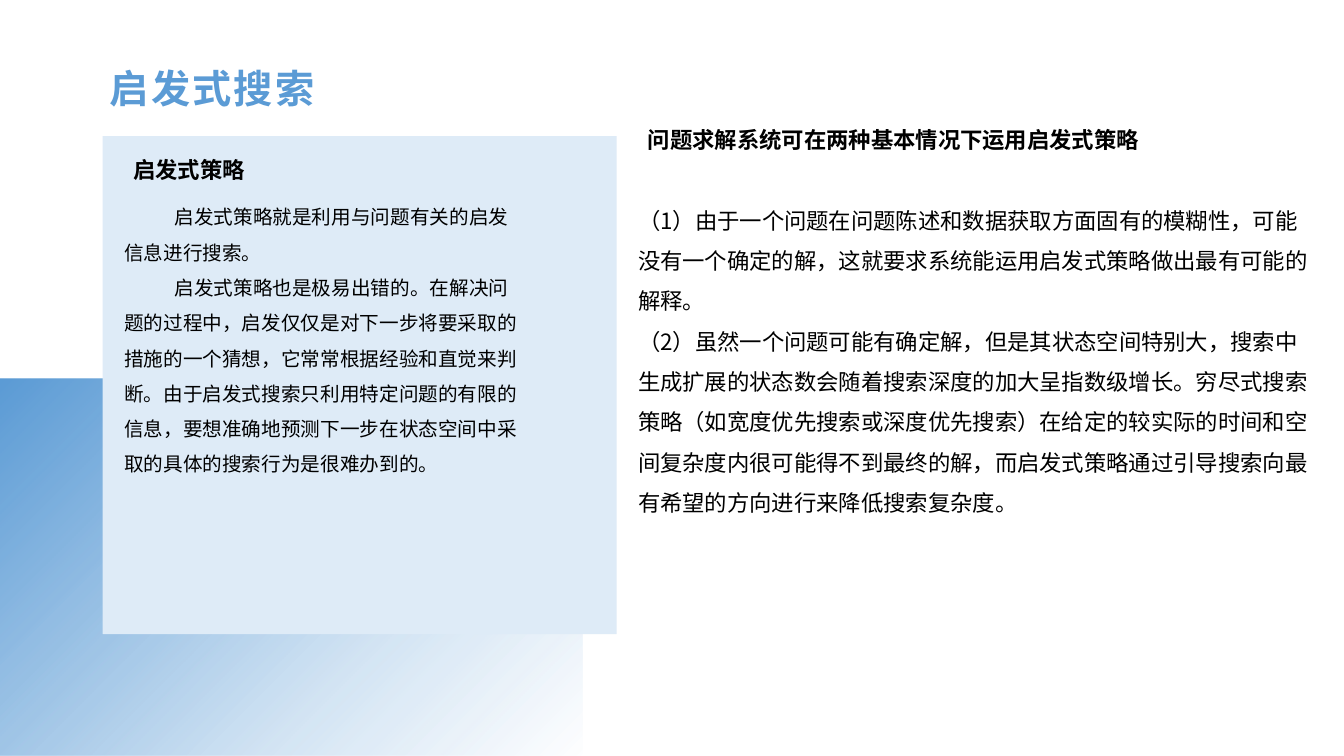
from lxml.etree import SubElement
from pptx import Presentation
from pptx.dml.color import RGBColor
from pptx.enum.shapes import MSO_SHAPE
from pptx.enum.text import MSO_ANCHOR, MSO_AUTO_SIZE, PP_ALIGN
from pptx.oxml.ns import qn
from pptx.util import Cm, Pt

BLUE = RGBColor(0x5B, 0x9B, 0xD5)
PALE = RGBColor(0xDE, 0xEB, 0xF7)
BLACK = RGBColor(0, 0, 0)

STRATEGY = [
    "启发式策略就是利用与问题有关的启发信息进行搜索。",
    "启发式策略也是极易出错的。在解决问题的过程中，启发仅仅是对下一步将要采取的措施的一个猜想，"
    "它常常根据经验和直觉来判断。由于启发式搜索只利用特定问题的有限的信息，"
    "要想准确地预测下一步在状态空间中采取的具体的搜索行为是很难办到的。",
]
CASES = [
    "（1）由于一个问题在问题陈述和数据获取方面固有的模糊性，可能没有一个确定的解，"
    "这就要求系统能运用启发式策略做出最有可能的解释。",
    "（2）虽然一个问题可能有确定解，但是其状态空间特别大，搜索中生成扩展的状态数会随着搜索深度的加大呈指数级增长。"
    "穷尽式搜索策略（如宽度优先搜索或深度优先搜索）在给定的较实际的时间和空间复杂度内很可能得不到最终的解，"
    "而启发式策略通过引导搜索向最有希望的方向进行来降低搜索复杂度。",
]


def write(frame, lines, size=16, color=BLACK, bold=False, lead=1.0,
          indent=0, track=0, anchor=MSO_ANCHOR.TOP, face="Noto Sans CJK SC"):
    """Fill a text frame with one paragraph per line; indent in cm, track in points."""
    frame.word_wrap = True
    frame.auto_size = MSO_AUTO_SIZE.NONE
    frame.vertical_anchor = anchor
    frame.margin_left = frame.margin_right = Cm(0.18)
    frame.margin_top = frame.margin_bottom = Cm(0.08)
    for i, line in enumerate(lines):
        para = frame.add_paragraph() if i else frame.paragraphs[0]
        para.alignment = PP_ALIGN.LEFT
        para.line_spacing = lead
        para.space_before = Pt(0)
        if indent:
            props = para._p.get_or_add_pPr()
            props.set("marL", "0")
            props.set("indent", str(Cm(indent)))
        run = para.add_run()
        run.text = line
        font = run.font
        font.size, font.bold, font.name = Pt(size), bold, face
        font.color.rgb = color
        marks = run._r.get_or_add_rPr()
        SubElement(marks, qn("a:ea")).set("typeface", face)
        if track:
            marks.set("spc", str(round(track * 100)))


class Page:
    def __init__(self, deck):
        self.slide = deck.slides.add_slide(deck.slide_layouts[5])

    def title(self, text, box, **style):
        shape = self.slide.shapes.title
        shape.left, shape.top, shape.width, shape.height = map(Cm, box)
        write(shape.text_frame, [text], **style)

    def text(self, lines, box, **style):
        shape = self.slide.shapes.add_textbox(*map(Cm, box))
        write(shape.text_frame, lines, **style)

    def panel(self, box, color):
        shape = self.slide.shapes.add_shape(MSO_SHAPE.RECTANGLE, *map(Cm, box))
        shape.shadow.inherit = False
        shape.line.fill.background()
        shape.fill.solid()
        shape.fill.fore_color.rgb = color
        return shape

    def glow(self, box, color, stops):
        """Add a panel fading towards its lower right; stops are (place, opacity) in percent."""
        shape = self.panel(box, color)
        shape.fill.gradient()
        grad = shape._element.spPr.find(qn("a:gradFill"))
        for child in list(grad):
            grad.remove(child)
        ramp = SubElement(grad, qn("a:gsLst"))
        for place, alpha in stops:
            stop = SubElement(ramp, qn("a:gs"), pos=str(place * 1000))
            tone = SubElement(stop, qn("a:srgbClr"), val=str(color))
            SubElement(tone, qn("a:alpha"), val=str(alpha * 1000))
        route = SubElement(grad, qn("a:path"))
        route.set("path", "circle")
        SubElement(route, qn("a:fillToRect"), l="100000", t="100000")
        SubElement(grad, qn("a:tileRect"), r="-100000", b="-100000")


def main():
    deck = Presentation()
    deck.slide_width, deck.slide_height = Cm(33.87), Cm(19.05)
    page = Page(deck)
    page.glow((0, 9.55, 14.68, 9.5), BLUE, [(0, 0), (34, 27), (100, 100)])
    page.panel((2.59, 3.43, 12.95, 12.55), PALE)
    page.title("启发式搜索", (2.59, 1.47, 13.64, 1.5), size=28, color=BLUE,
               bold=True, track=1.6, anchor=MSO_ANCHOR.MIDDLE)
    page.text(["启发式策略"], (3.18, 3.86, 14.17, 1.24), bold=True)
    page.text(STRATEGY, (2.95, 4.8, 10.46, 8.56), size=14, lead=1.5, indent=1.27)
    page.text(["问题求解系统可在两种基本情况下运用启发式策略"],
              (16.15, 3.1, 14.17, 2.03), bold=True)
    page.text(CASES, (15.9, 4.8, 17.48, 15.14), lead=1.5)
    deck.save("out.pptx")


if __name__ == "__main__":
    main()
